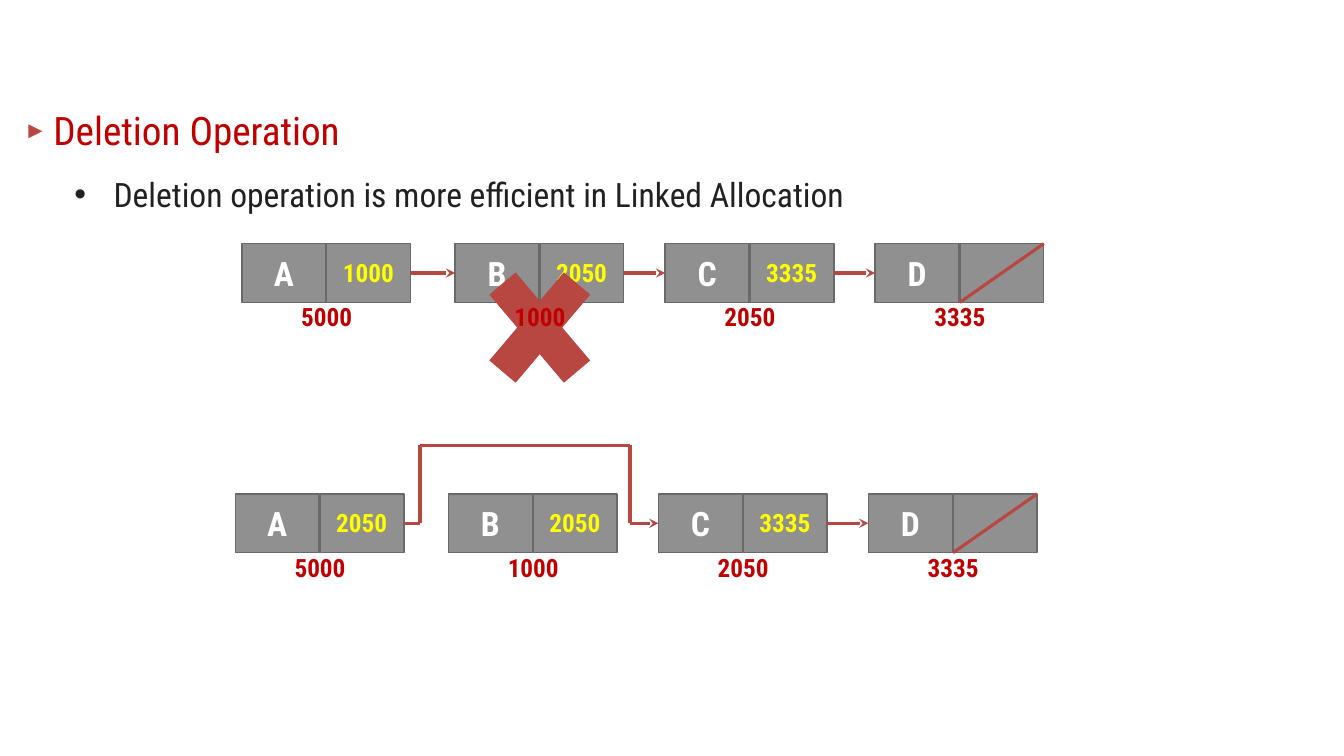
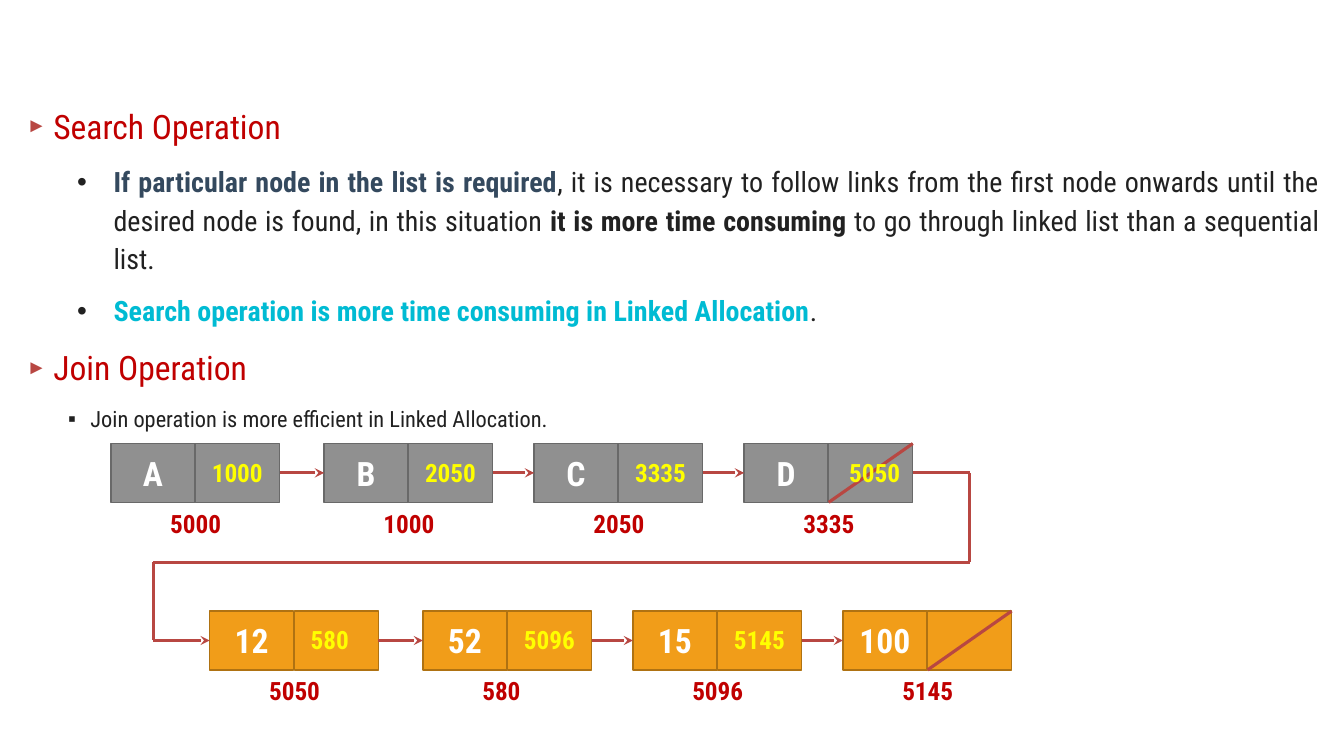
from dataclasses import dataclass

from lxml.etree import SubElement
from pptx import Presentation
from pptx.dml.color import RGBColor
from pptx.enum.shapes import MSO_CONNECTOR as Connector, MSO_SHAPE as Shape
from pptx.enum.text import MSO_ANCHOR as Anchor, PP_ALIGN as Align
from pptx.oxml.ns import qn
from pptx.util import Pt


@dataclass(frozen=True)
class Theme:
    font: str = "Roboto Condensed"
    bullet_font: str = "Arial"
    accent: str = "B84742"
    heading: str = "C00000"
    body: str = "212121"
    slate: str = "34495E"
    cyan: str = "00BBD3"
    data: str = "FFFFFF"
    pointer: str = "FFFF00"
    gray: tuple = ("909090", "696969")
    orange: tuple = ("F19D19", "AF7212")
    title_size: int = 28
    topic_size: int = 24
    point_size: int = 24
    detail_size: int = 20
    note_size: int = 16
    data_size: int = 24
    label_size: int = 18
    link_width: float = 2.25


@dataclass(frozen=True)
class Bullet:
    char: str
    percent: int
    color: str
    level: int
    left: float
    hang: float
    size: int


THEME = Theme()
SLIDE_W, SLIDE_H = 960, 540
BODY_BOX = (10, 68, 939.6, 440)
CELL_W, CELL_H, CELL_STEP = 60, 42, 60.5
NODE_OFFSETS = (0, 152.3, 302.3, 452.3)
RIGHT_SIDE, LEFT_SIDE = 3, 1

TITLE = Bullet("►", 60, THEME.accent, 0, 21, 21, THEME.title_size)
TOPIC = Bullet("►", 60, THEME.accent, 0, 21, 19, THEME.topic_size)
POINT = Bullet("•", 100, THEME.body, 1, 64, 28, THEME.point_size)
DETAIL = Bullet("•", 100, THEME.body, 1, 64, 26, THEME.detail_size)
NOTE = Bullet("▪", 100, THEME.body, 2, 47.5, 16, THEME.note_size)


def rgb(color):
    return RGBColor.from_string(color)


def add_run(paragraph, text, size, color, bold=False):
    run = paragraph.add_run()
    run.text = text
    font = run.font
    font.name, font.size, font.bold = THEME.font, Pt(size), bold
    font.color.rgb = rgb(color)


def paint(shape, fill, line, width):
    shape.shadow.inherit = False
    shape.fill.solid()
    shape.fill.fore_color.rgb = rgb(fill)
    shape.line.color.rgb = rgb(line)
    shape.line.width = Pt(width)


def set_bullet(paragraph, bullet):
    props = paragraph._p.get_or_add_pPr()
    props.set("marL", str(Pt(bullet.left)))
    props.set("indent", str(-Pt(bullet.hang)))
    color = SubElement(props, qn("a:buClr"))
    SubElement(color, qn("a:srgbClr"), val=bullet.color)
    SubElement(props, qn("a:buSzPct"), val=str(bullet.percent * 1000))
    SubElement(props, qn("a:buFont"), typeface=THEME.bullet_font)
    SubElement(props, qn("a:buChar"), char=bullet.char)


def add_outline(slide, box, items):
    frame = slide.shapes.add_textbox(*map(Pt, box)).text_frame
    frame.word_wrap = True
    for index, (bullet, runs) in enumerate(items):
        paragraph = frame.add_paragraph() if index else frame.paragraphs[0]
        set_bullet(paragraph, bullet)
        paragraph.level = bullet.level
        paragraph.alignment = Align.JUSTIFY
        paragraph.line_spacing = 1.14
        if index:
            paragraph.space_before = Pt(10)
        for text, color, bold in runs:
            add_run(paragraph, text, bullet.size, color, bold)


def add_label(slide, left, top, text, color):
    width = 17 + 8.5 * len(text)
    box = slide.shapes.add_textbox(Pt(left), Pt(top), Pt(width), Pt(29))
    box.text_frame.word_wrap = False
    add_run(box.text_frame.paragraphs[0], text, THEME.label_size, color, True)


def add_line(slide, start, end, arrow=False, source=None, target=None):
    line = slide.shapes.add_connector(
        Connector.STRAIGHT, *map(Pt, (*start, *end)))
    SubElement(line._element.spPr, qn("a:effectLst"))
    line.line.color.rgb = rgb(THEME.accent)
    line.line.width = Pt(THEME.link_width)
    if arrow:
        SubElement(line.line._get_or_add_ln(), qn("a:tailEnd"), type="stealth")
    if source:
        line.begin_connect(source, RIGHT_SIDE)
    if target:
        line.end_connect(target, LEFT_SIDE)


def add_node(slide, left, top, data, colors):
    group = slide.shapes.add_group_shape()
    cells = []
    for column in range(2):
        cell = group.shapes.add_shape(
            Shape.RECTANGLE, Pt(left + column * CELL_STEP), Pt(top),
            Pt(CELL_W), Pt(CELL_H))
        paint(cell, *colors, 1)
        cells.append(cell)
    frame = cells[0].text_frame
    frame.vertical_anchor = Anchor.MIDDLE
    frame.paragraphs[0].alignment = Align.CENTER
    add_run(frame.paragraphs[0], data, THEME.data_size, THEME.data, True)
    return cells


def add_chain(slide, left, top, values, pointers, colors, links=(0, 1, 2)):
    lefts = [left + offset for offset in NODE_OFFSETS]
    nodes = [add_node(slide, x, top, value, colors)
             for x, value in zip(lefts, values)]
    middle = top + CELL_H / 2
    for index in links:
        add_line(slide, (lefts[index] + CELL_STEP + CELL_W, middle),
                 (lefts[index + 1], middle), True,
                 nodes[index][1], nodes[index + 1][0])
    last = lefts[-1] + CELL_STEP
    add_line(slide, (last + CELL_W, top), (last, top + CELL_H))
    for index, (x, pointer) in enumerate(zip(lefts, pointers)):
        nudge = 3 if index == len(lefts) - 1 else 0
        add_label(slide, x + 65 + nudge, top + 6, pointer, THEME.pointer)
    return nodes


def add_addresses(slide, left, top, addresses):
    for offset, address in zip(NODE_OFFSETS, addresses):
        add_label(slide, left + offset + 35.3, top, address, THEME.heading)


def add_detour(slide, source, target, exit_x, cross_y, entry_x):
    leave_x = (source.left + source.width) / Pt(1)
    leave_y = (source.top + source.height / 2) / Pt(1)
    enter_x = target.left / Pt(1)
    enter_y = (target.top + target.height / 2) / Pt(1)
    stops = [(leave_x, leave_y), (exit_x, leave_y), (exit_x, cross_y),
             (entry_x, cross_y), (entry_x, enter_y), (enter_x, enter_y)]
    final = len(stops) - 2
    for index, (begin, end) in enumerate(zip(stops, stops[1:])):
        add_line(slide, begin, end, index == final,
                 source if index == 0 else None,
                 target if index == final else None)


def add_cross(slide, left, top, width, height):
    cross = slide.shapes.add_shape(
        Shape.MATH_MULTIPLY, *map(Pt, (left, top, width, height)))
    cross.adjustments[0] = 0.235
    paint(cross, THEME.accent, THEME.accent, 0.75)


def build_deletion(slide):
    add_outline(slide, BODY_BOX, [
        (TITLE, [("Deletion Operation", THEME.heading, False)]),
        (POINT, [("Deletion operation is more efficient in Linked Allocation",
                  THEME.body, False)]),
    ])
    addresses = ("5000", "1000", "2050", "3335")
    before_left, before_top = 172.8, 174
    after_left, after_top = 168, 352.8
    add_chain(slide, before_left, before_top, "ABCD",
              ("1000", "2050", "3335"), THEME.gray)
    add_cross(slide, before_left + 162, before_top, 101.5, 120)
    add_addresses(slide, before_left, before_top + 38, addresses)
    after = add_chain(slide, after_left, after_top, "ABCD",
                      ("2050", "2050", "3335"), THEME.gray, links=(2,))
    add_addresses(slide, after_left, after_top + 38, addresses)
    add_detour(slide, after[0][1], after[2][0], 300, 318.2, 450)


def build_search_and_join(slide):
    add_outline(slide, BODY_BOX, [
        (TOPIC, [("Search Operation", THEME.heading, False)]),
        (DETAIL, [
            ("If particular node in the list is required", THEME.slate, True),
            (", it is necessary to follow links from the first node onwards "
             "until the desired node is found, in this situation ",
             THEME.body, False),
            ("it is more time consuming ", THEME.body, True),
            ("to go through linked list than a sequential list.",
             THEME.body, False)]),
        (DETAIL, [
            ("Search operation is more time consuming in Linked Allocation",
             THEME.cyan, True),
            (".", THEME.body, False)]),
        (TOPIC, [("Join Operation", THEME.heading, False)]),
        (NOTE, [("Join operation is more efficient in Linked Allocation.",
                 THEME.body, False)]),
    ])
    first_left, first_top = 79.2, 316.8
    second_left, second_top = 149.8, 436.5
    first = add_chain(slide, first_left, first_top, "ABCD",
                      ("1000", "2050", "3335", "5050"), THEME.gray)
    add_addresses(slide, first_left, first_top + 42.5,
                  ("5000", "1000", "2050", "3335"))
    second = add_chain(slide, second_left, second_top,
                       ("12", "52", "15", "100"),
                       ("580", "5096", "5145"), THEME.orange)
    add_addresses(slide, second_left, second_top + 42.5,
                  ("5050", "580", "5096", "5145"))
    add_detour(slide, first[-1][1], second[0][0], 692.6, 401.8, 109.4)


def main():
    deck = Presentation()
    deck.slide_width, deck.slide_height = Pt(SLIDE_W), Pt(SLIDE_H)
    blank = deck.slide_layouts[6]
    for build in (build_deletion, build_search_and_join):
        build(deck.slides.add_slide(blank))
    deck.save("out.pptx")


if __name__ == "__main__":
    main()
